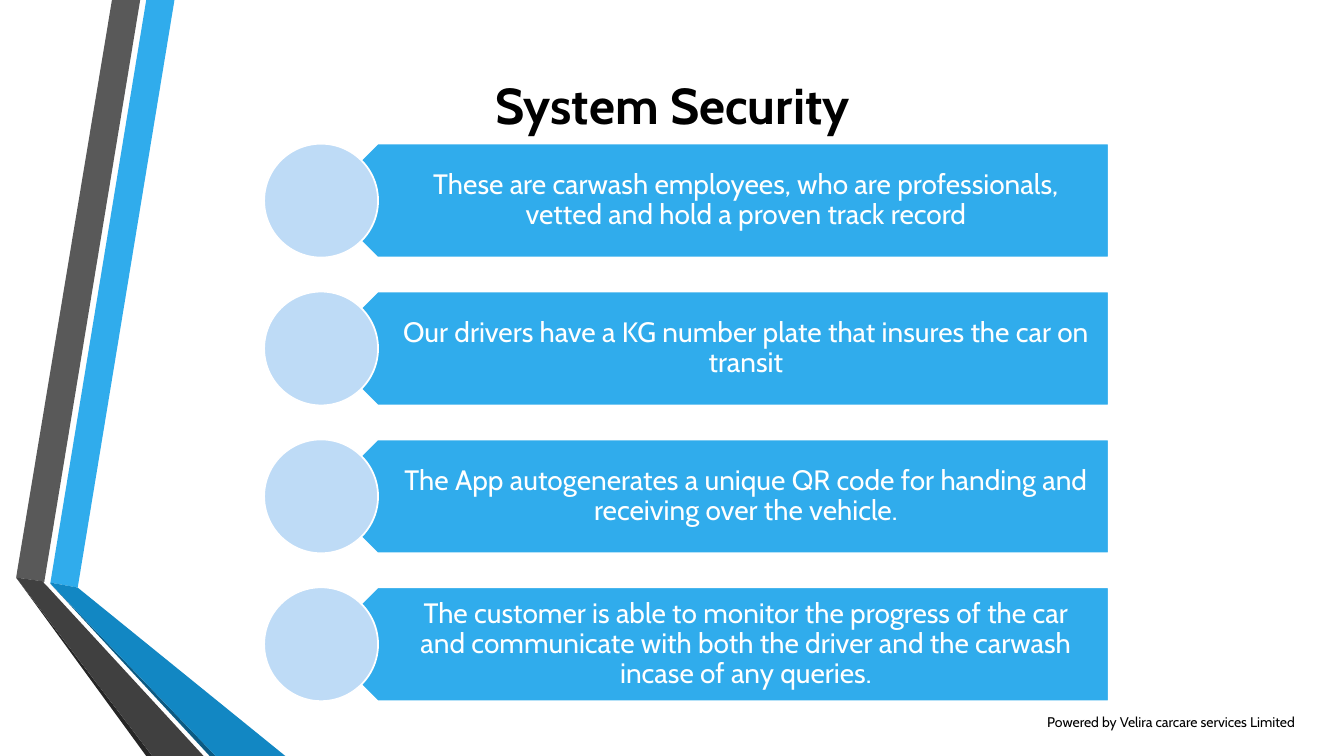
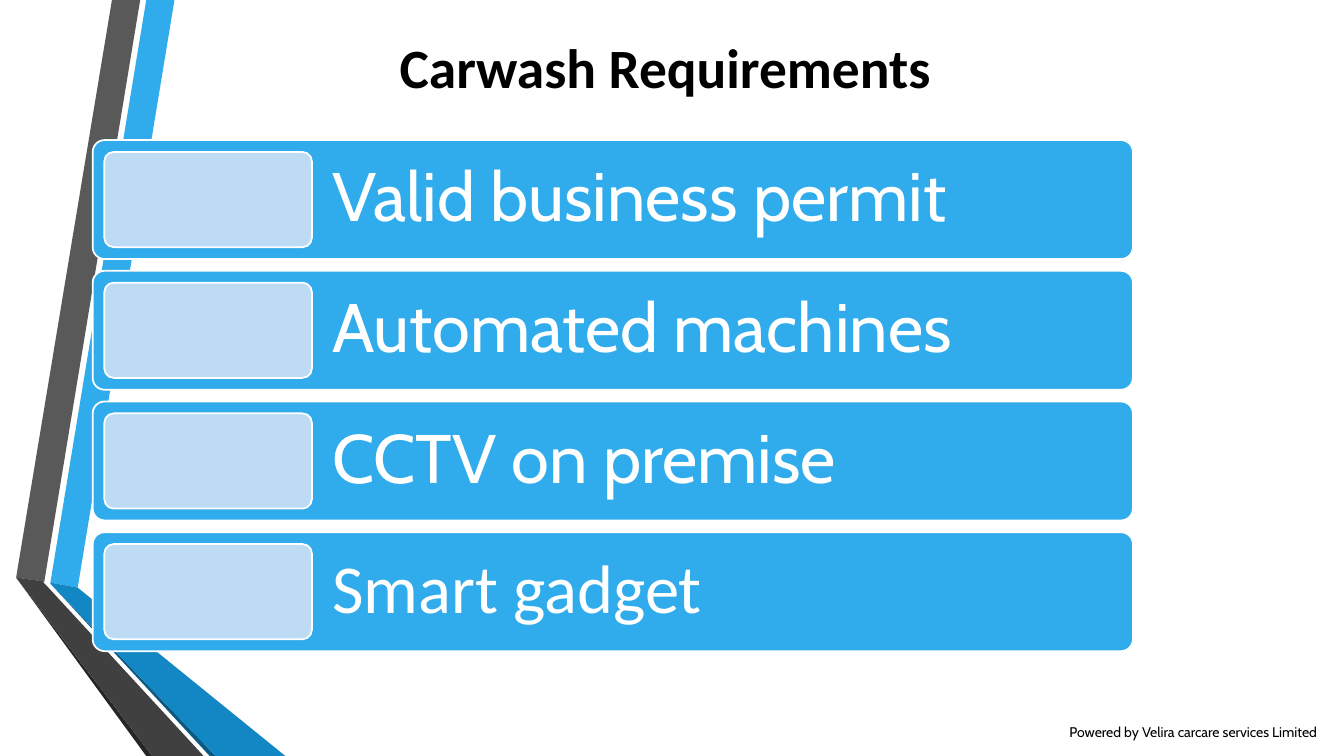
"""Build two carwash slides: system security and carwash requirements."""
from pptx import Presentation, util as u
from pptx.dml.color import RGBColor
from pptx.enum import shapes, text

SKY = RGBColor(0x30, 0xAC, 0xEC)
PALE = RGBColor(0xBE, 0xDB, 0xF6)
WHITE = RGBColor(0xFF, 0xFF, 0xFF)
BLACK = RGBColor(0, 0, 0)
GREY = RGBColor(0x59, 0x59, 0x59)
COAL = RGBColor(0x40, 0x40, 0x40)
SOOT = RGBColor(0x26, 0x26, 0x26)
NAVY = RGBColor(0x0C, 0x5A, 0x82)
DEEP = RGBColor(0x12, 0x87, 0xC3)

WIDE, HIGH = u.Inches(13.33), u.Inches(7.5)
FONT = "Cabin"
FOOT = "Powered by Velira carcare services Limited"
MID, LEFT = text.PP_ALIGN.CENTER, text.PP_ALIGN.LEFT
KIND = shapes.MSO_SHAPE

RIBBON = [
    (SKY, [(3.75, 77.07), (5.78, 77.73), (12.98, 0), (10.88, 0)]),
    (GREY, [(10.43, 0), (8.33, 0), (1.2, 76.4), (3.3, 76.93)]),
    (SOOT, [(1.2, 76.4), (10.88, 100), (11.33, 100)]),
    (NAVY, [(3.75, 77.2), (15.6, 100), (16.05, 100)]),
    (DEEP, [(3.75, 77.07), (3.75, 77.2), (16.05, 100), (21.23, 100), (5.78, 77.73)]),
    (COAL, [(15.15, 100), (3.6, 77.73), (3.23, 77.07), (3.3, 76.93), (1.2, 76.4), (11.33, 100)]),
]
RULES = [
    "These are carwash employees, who are professionals, vetted and hold a proven track record",
    "Our drivers have a KG number plate that insures the car on transit",
    "The App autogenerates a unique QR code for handing and receiving over the vehicle.",
    "The customer is able to monitor the progress of the car and communicate with both "
    "the driver and the carwash incase of any queries.",
]
NEEDS = [
    ("Valid business permit", FONT),
    ("Automated machines", FONT),
    ("CCTV on premise", FONT),
    ("Smart gadget", "Calibri"),
]


def spot(x, y):
    """Turn percentages of the slide into a point."""
    return int(WIDE * x / 100), int(HIGH * y / 100)


def write(shape, words, size, font=FONT, color=BLACK, bold=False, align=LEFT,
          space=1.0, pad=(0.1, 0.05, 0.1, 0.05)):
    """Put one formatted paragraph into a shape."""
    frame = shape.text_frame
    frame.word_wrap = True
    frame.vertical_anchor = text.MSO_ANCHOR.MIDDLE
    (frame.margin_left, frame.margin_top,
     frame.margin_right, frame.margin_bottom) = map(u.Inches, pad)
    para = frame.paragraphs[0]
    para.alignment, para.line_spacing = align, space
    run = para.add_run()
    run.text = words
    run.font.name, run.font.size, run.font.bold = font, u.Pt(size), bold
    run.font.color.rgb = color


def label(slide, x, y, w, h, words, size, **form):
    """Add a text box placed in percentages."""
    write(slide.shapes.add_textbox(*spot(x, y), *spot(w, h)), words, size, **form)


def block(slide, kind, x, y, w, h, fill):
    """Add a filled shape with a thin white outline."""
    shape = slide.shapes.add_shape(kind, *spot(x, y), *spot(w, h))
    shape.shadow.inherit = False
    shape.fill.solid()
    shape.fill.fore_color.rgb = fill
    shape.line.color.rgb = WHITE
    shape.line.width = u.Pt(1.25)
    if kind == KIND.ROUNDED_RECTANGLE:
        shape.adjustments[0] = 0.1
    return shape


def ribbon(slide):
    """Draw the folded ribbon on the left edge."""
    for fill, points in RIBBON:
        start, *rest = [spot(*point) for point in points]
        path = slide.shapes.build_freeform(*start)
        path.add_line_segments(rest)
        facet = path.convert_to_shape()
        facet.shadow.inherit = False
        facet.fill.solid()
        facet.fill.fore_color.rgb = fill
        facet.line.fill.background()


def base(deck, title, area, size, font, foot):
    """Add a slide with its ribbon, title and footer."""
    slide = deck.slides.add_slide(deck.slide_layouts[6])
    ribbon(slide)
    label(slide, *area, title, size, font=font, bold=True, align=MID, space=0.9)
    x, y = foot
    label(slide, x, y, 100 - x, 5.33, FOOT, 10)
    return slide


def rule(slide, row, words):
    """Add one arrow plate with its disc."""
    y, h = 19.0 + row * 19.56, 15.07
    plate = block(slide, KIND.PENTAGON, 23.85, y, 58.65, h, SKY)
    plate.rotation = 180
    label(slide, 25.95, y, 56.55, h, words, 20, color=WHITE, align=MID,
          space=0.9, pad=(0.5, 0.08, 0.16, 0.08))
    block(slide, KIND.OVAL, 19.65, y, 8.48, h, PALE)


def need(slide, row, words, font):
    """Add one rounded card with its pale chip."""
    y = 18.53 + row * 17.29
    card = block(slide, KIND.ROUNDED_RECTANGLE, 6.9, y, 77.4, 15.73, SKY)
    write(card, words, 49, font=font, color=WHITE, space=0.9,
          pad=(2.34, 0.2, 0.2, 0.2))
    block(slide, KIND.ROUNDED_RECTANGLE, 7.76, y + 1.57, 15.45, 12.6, PALE)


def main():
    """Build and save the deck."""
    deck = Presentation()
    deck.slide_width, deck.slide_height = WIDE, HIGH
    slide = base(deck, "System Security", (10.65, 9.33, 78.75, 9.87), 36, FONT, (77.18, 92.8))
    for row, words in enumerate(RULES):
        rule(slide, row, words)
    slide = base(deck, "Carwash Requirements", (6.9, 4.6, 85.2, 9.33), 39.6, "Calibri",
                 (78.83, 94.13))
    for row, (words, font) in enumerate(NEEDS):
        need(slide, row, words, font)
    deck.save("out.pptx")


if __name__ == "__main__":
    main()
